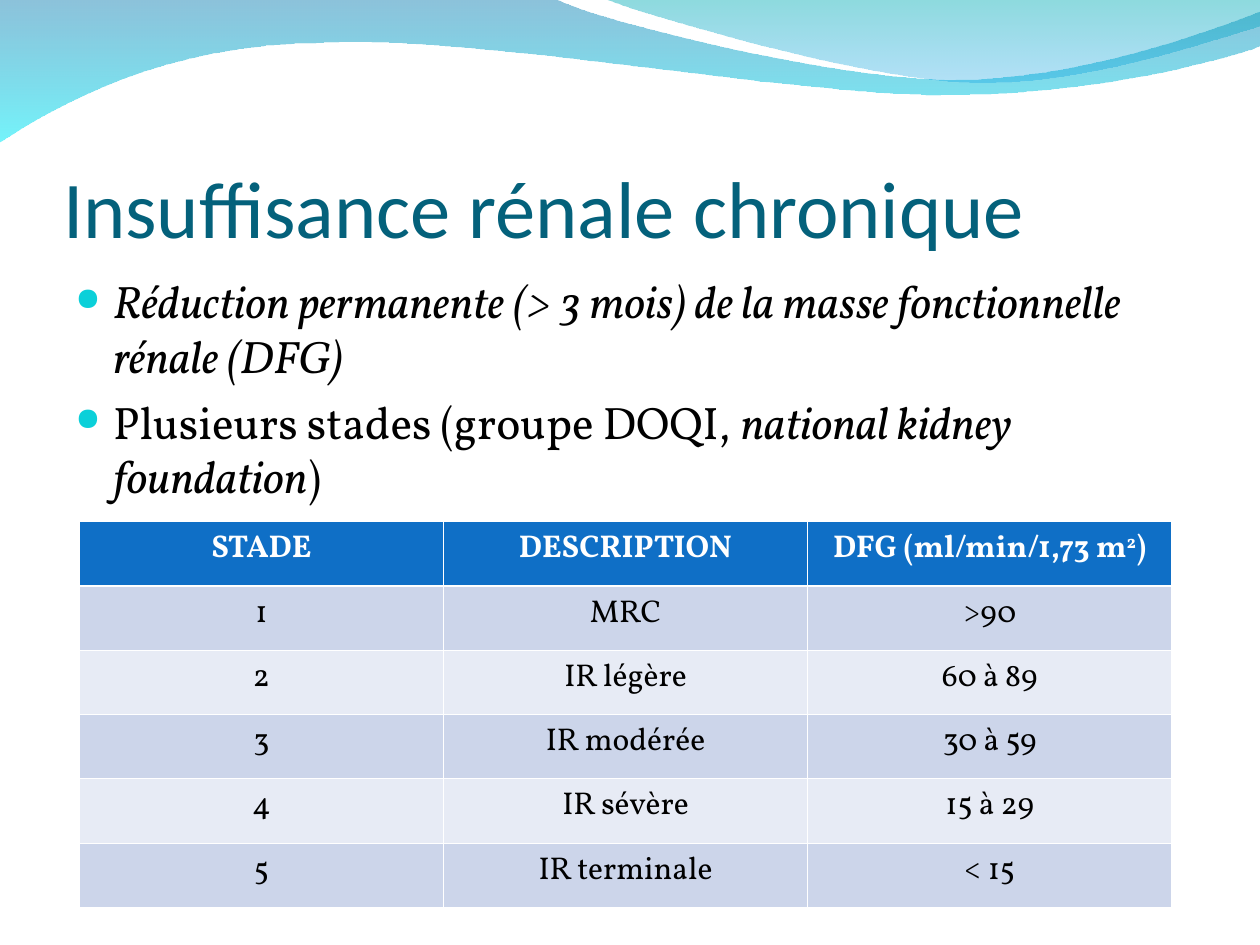
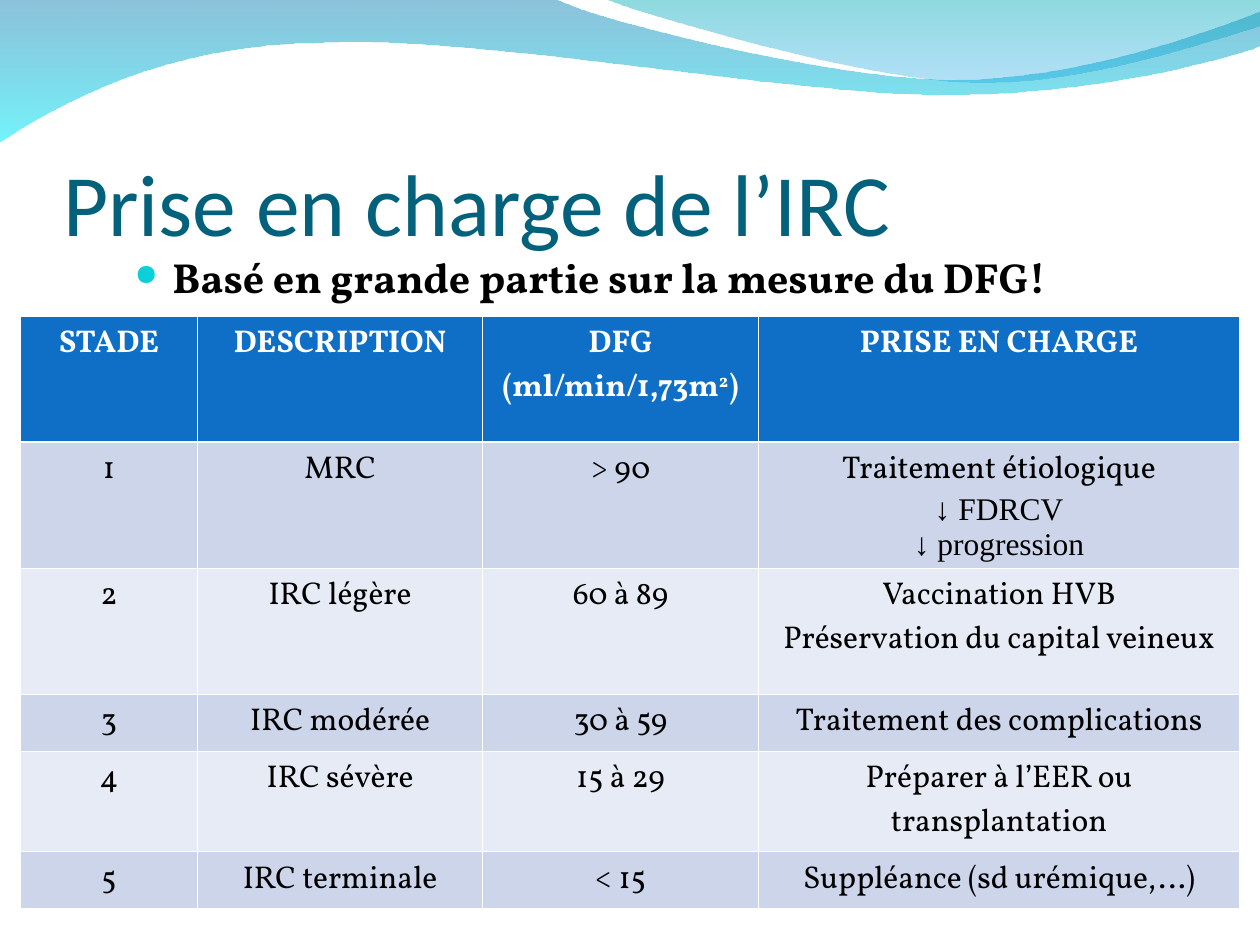
from dataclasses import dataclass

from lxml import etree
from pptx import Presentation
from pptx.dml.color import RGBColor
from pptx.enum.text import MSO_ANCHOR, MSO_AUTO_SIZE, PP_ALIGN
from pptx.oxml.ns import qn
from pptx.util import Inches, Pt

LEFT, CENTER = PP_ALIGN.LEFT, PP_ALIGN.CENTER
BOTTOM = MSO_ANCHOR.BOTTOM
NO_AUTOFIT = MSO_AUTO_SIZE.NONE
TITLE_ONLY = 5


@dataclass(frozen=True)
class Theme:
    title: str = "04617B"
    text: str = "000000"
    bullet: str = "0BD0D9"
    header: str = "0F6FC6"
    header_text: str = "FFFFFF"
    rule: str = "FFFFFF"
    bands: tuple = ("CCD5EA", "E7EBF5")
    title_font: str = "Calibri"
    body_font: str = "Vollkorn"
    arrow_font: str = "Times New Roman"
    table_size: int = 18
    bullet_percent: int = 70
    thin: float = 0.45
    thick: float = 1.47


THEME = Theme()

# Content: a paragraph is a list of (text, style) spans
PLAIN, ITALIC, SUPER = "plain", "italic", "super"

PAGES = [
    {
        "title": "Insuffisance rénale chronique",
        "title_size": 46,
        "bullets": [
            [("Réduction permanente (> 3 mois) de la masse fonctionnelle rénale (DFG)", ITALIC)],
            [("Plusieurs stades (groupe DOQI, ", PLAIN),
             ("national kidney foundation", ITALIC), (")", PLAIN)],
        ],
        "bullet_box": (0.5, 2.12, 9, 4.8),
        "bullet_size": 26,
        "bullet_bold": None,
        "table_at": (0.63, 4.14),
        "columns": [2.89] * 3,
        "rows": [0.51] * 6,
        "cells": [
            ["STADE", "DESCRIPTION",
             [("DFG (ml/min/1,73 m", PLAIN), ("2", SUPER), (")", PLAIN)]],
            ["1", "MRC", ">90"],
            ["2", "IR légère", "60 à 89"],
            ["3", "IR modérée", "30 à 59"],
            ["4", "IR sévère", "15 à 29"],
            ["5", "IR terminale", "< 15"],
        ],
    },
    {
        "title": "Prise en charge de l’IRC",
        "title_size": 50,
        "bullets": [[("Basé en grande partie sur la mesure du DFG!", PLAIN)]],
        "bullet_box": (0.97, 1.95, 8.48, 0.7),
        "bullet_size": 24,
        "bullet_bold": True,
        "table_at": (0.16, 2.51),
        "columns": [1.41, 2.26, 2.19, 3.82],
        "rows": [1, 1, 1, 0.45, 0.8, 0.45],
        "cells": [
            ["STADE", "DESCRIPTION",
             [("DFG (ml/min/1,73m", PLAIN), ("2", SUPER), (")", PLAIN)],
             "PRISE EN CHARGE"],
            ["1", "MRC", "> 90", "Traitement étiologique\n↓ FDRCV\n↓ progression"],
            ["2", "IRC légère", "60 à 89", "Vaccination HVB\nPréservation du capital veineux"],
            ["3", "IRC modérée", "30 à 59", "Traitement des complications"],
            ["4", "IRC sévère", "15 à 29", "Préparer à l’EER ou transplantation"],
            ["5", "IRC terminale", "< 15", "Suppléance (sd urémique,…)"],
        ],
    },
]

# Waves: segments of one point are straight, those of three are Bézier curves
WAVES = [
    {
        "start": (0, -0.01),
        "segments": [
            [(4.4, -0.01)],
            [(4.76, 0.17), (6.64, 0.63), (7.58, 0.63)],
            [(8.53, 0.63), (9.58, 0.26), (10, 0.09)],
            [(10.01, 0.36)],
            [(9.83, 0.44), (8.7, 0.76), (7.46, 0.75)],
            [(6.22, 0.75), (3.82, 0.28), (2.57, 0.34)],
            [(1.29, 0.35), (0.46, 0.83), (-0.01, 1.13)],
        ],
        "stops": [("0079AF", 45), ("00EBF8", 55)],
    },
    {
        "start": (4.79, -0.01),
        "segments": [
            [(5.09, 0.11), (6.82, 0.62), (7.69, 0.65)],
            [(8.56, 0.69), (9.61, 0.32), (10, 0.21)],
            [(10, 0)],
        ],
        "stops": [("00ADB6", 45), ("009BE5", 30)],
    },
]


def rgb(value):
    return RGBColor.from_string(value)


def add_child(parent, tag, **attributes):
    return etree.SubElement(parent, qn(tag), attributes)


def style_font(font, name, size, color, bold=None):
    font.name, font.size, font.bold = name, Pt(size), bold
    font.color.rgb = rgb(color)


def add_spans(para, spans):
    for text, style in spans:
        span = para.add_run()
        span.text = text
        if style == ITALIC:
            span.font.italic = True
        elif style == SUPER:
            span._r.get_or_add_rPr().set("baseline", "30000")


# Shared background
def bend_segments(shape, segments):
    """Join the three lines of each curved segment into one Bézier curve."""
    lines = iter(list(shape.element.iter(qn("a:lnTo"))))
    for segment in segments:
        group = [next(lines) for _ in segment]
        if len(group) == 3:
            curve = etree.Element(qn("a:cubicBezTo"))
            group[0].addprevious(curve)
            for line in group:
                curve.append(line[0])
                line.getparent().remove(line)


def add_wave(page, layout, wave):
    points = [tuple(map(Inches, point)) for segment in wave["segments"] for point in segment]
    builder = page.shapes.build_freeform(*map(Inches, wave["start"]))
    builder.add_line_segments(points, close=True)
    shape = builder.convert_to_shape()
    bend_segments(shape, wave["segments"])
    shape.shadow.inherit = False
    shape.line.fill.background()
    shape.fill.gradient()
    shape.fill.gradient_angle = 270
    for stop, position, (color, _) in zip(shape.fill.gradient_stops, (0, 1), wave["stops"]):
        stop.position = position
        stop.color.rgb = rgb(color)
    for node, (_, opacity) in zip(shape.element.iter(qn("a:srgbClr")), wave["stops"]):
        add_child(node, "a:alpha", val=str(opacity * 1000))
    # The layout carries the waves for every page
    layout.shapes.element.append(shape.element)


# Title and bullets
def format_title(page, text, size):
    title = page.shapes.title
    title.left, title.top, title.width, title.height = map(Inches, (0.5, 0.77, 9, 1.25))
    frame = title.text_frame
    frame.text = text
    frame.word_wrap, frame.auto_size, frame.vertical_anchor = True, NO_AUTOFIT, BOTTOM
    frame.margin_left = frame.margin_right = frame.margin_bottom = 0
    frame.margin_top = Inches(0.05)
    para = frame.paragraphs[0]
    para.alignment = LEFT
    style_font(para.font, THEME.title_font, size, THEME.title)


def add_bullets(page, bullets, place, size, bold):
    frame = page.shapes.add_textbox(*map(Inches, place)).text_frame
    frame.word_wrap = True
    for index, spans in enumerate(bullets):
        para = frame.add_paragraph() if index else frame.paragraphs[0]
        para.space_before = Pt(size / 4)
        properties = para._p.get_or_add_pPr()
        properties.set("marL", str(Inches(0.3)))
        properties.set("indent", str(-Inches(0.3)))
        add_child(add_child(properties, "a:buClr"), "a:srgbClr", val=THEME.bullet)
        add_child(properties, "a:buSzPct", val=str(THEME.bullet_percent * 1000))
        add_child(properties, "a:buChar", char="●")
        style_font(para.font, THEME.body_font, size, THEME.text, bold)
        add_spans(para, spans)


# Table
def add_borders(cell, row_index):
    top = THEME.thick if row_index == 1 else THEME.thin
    bottom = THEME.thick if row_index == 0 else THEME.thin
    sides = (("L", THEME.thin), ("R", THEME.thin), ("T", top), ("B", bottom))
    properties = cell._tc.get_or_add_tcPr()
    for position, (side, width) in enumerate(sides):
        line = etree.Element(qn("a:ln" + side), w=str(Pt(width)))
        add_child(add_child(line, "a:solidFill"), "a:srgbClr", val=THEME.rule)
        properties.insert(position, line)


def fill_cell(cell, content, row_index):
    header = row_index == 0
    cell.fill.solid()
    cell.fill.fore_color.rgb = rgb(THEME.header if header else THEME.bands[(row_index - 1) % 2])
    add_borders(cell, row_index)
    if isinstance(content, str):
        paragraphs = [[(line, PLAIN)] for line in content.split("\n")]
    else:
        paragraphs = [content]
    frame = cell.text_frame
    for index, spans in enumerate(paragraphs):
        para = frame.add_paragraph() if index else frame.paragraphs[0]
        para.alignment = CENTER
        name = THEME.arrow_font if spans[0][0].startswith("↓") else THEME.body_font
        color = THEME.header_text if header else THEME.text
        style_font(para.font, name, THEME.table_size, color, header)
        add_spans(para, spans)


def add_stage_table(page, place, columns, rows, cells):
    size = (sum(columns), sum(rows))
    table = page.shapes.add_table(len(rows), len(columns), *map(Inches, (*place, *size))).table
    for column, width in zip(table.columns, columns):
        column.width = Inches(width)
    for row_index, (row, height) in enumerate(zip(table.rows, rows)):
        row.height = Inches(height)
        for cell, content in zip(row.cells, cells[row_index]):
            fill_cell(cell, content, row_index)


def main():
    deck = Presentation()
    deck.slide_width, deck.slide_height = Inches(10), Inches(7.5)
    layout = deck.slide_layouts[TITLE_ONLY]
    for index, content in enumerate(PAGES):
        page = deck.slides.add_slide(layout)
        if index == 0:
            for wave in WAVES:
                add_wave(page, layout, wave)
        format_title(page, content["title"], content["title_size"])
        add_bullets(page, content["bullets"], content["bullet_box"],
                    content["bullet_size"], content["bullet_bold"])
        add_stage_table(page, content["table_at"], content["columns"],
                        content["rows"], content["cells"])
    deck.save("out.pptx")


if __name__ == "__main__":
    main()
